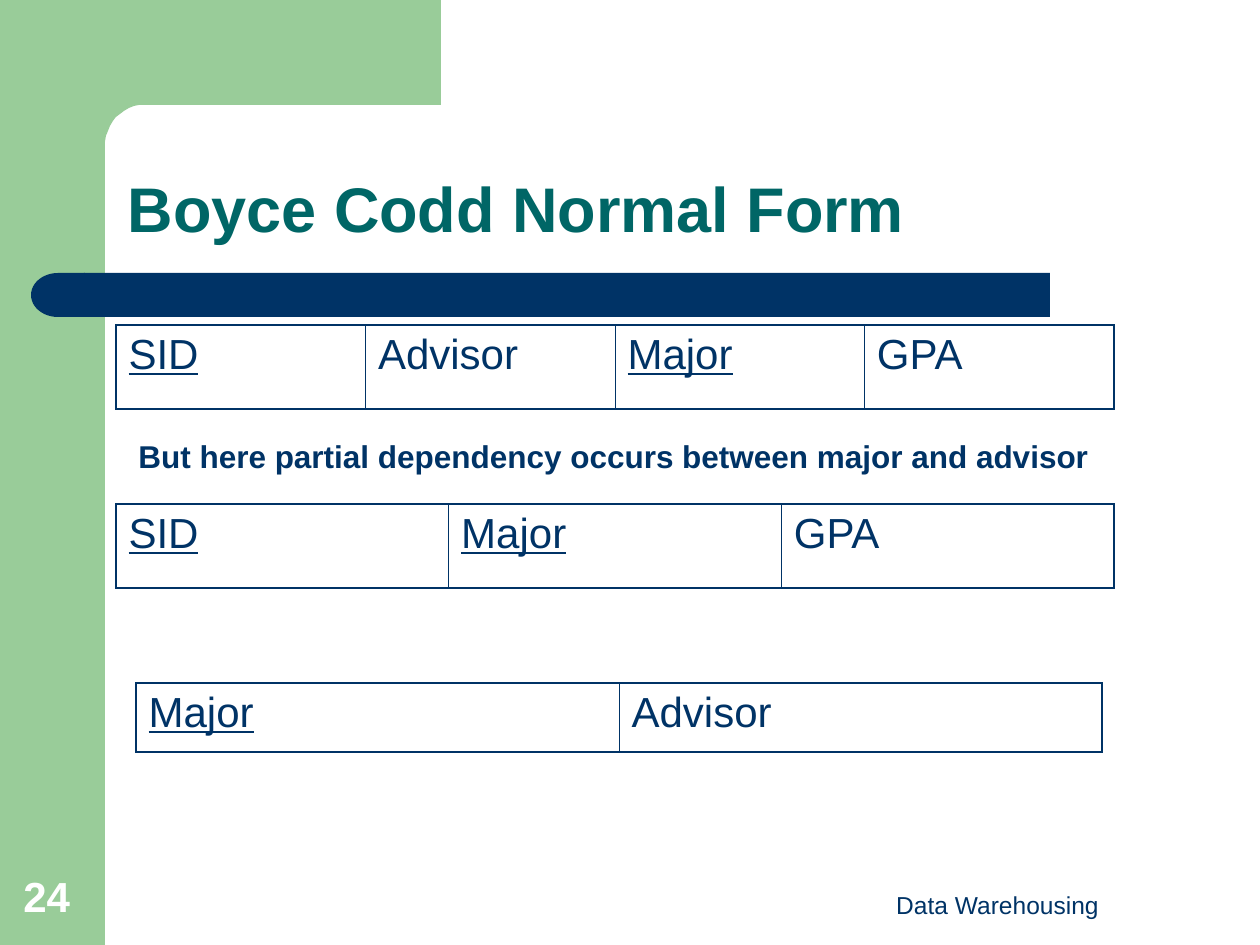
from math import cos, pi, sin

from lxml import etree
from pptx import Presentation
from pptx.dml.color import RGBColor
from pptx.enum.shapes import MSO_SHAPE as SHAPE
from pptx.enum.text import MSO_ANCHOR as ANCHOR, MSO_AUTO_SIZE as AUTO, PP_ALIGN as ALIGN
from pptx.oxml.ns import qn
from pptx.util import Emu, Pt

PX = 914400 / 126
GREEN = RGBColor(0x99, 0xCC, 0x99)
NAVY = RGBColor(0x00, 0x33, 0x66)
TEAL = RGBColor(0x00, 0x66, 0x66)
WHITE = RGBColor(0xFF, 0xFF, 0xFF)


def px(*lengths):
    return [Emu(round(n * PX)) for n in lengths]


def add_run(p, text, size, color, bold=False, underline=False):
    r = p.add_run()
    r.text = text
    r.font.name = "Arial"
    r.font.size = Pt(size)
    r.font.color.rgb = color
    r.font.bold = bold
    r.font.underline = underline


prs = Presentation()
prs.slide_width, prs.slide_height = px(1260, 945)
slide = prs.slides.add_slide(prs.slide_layouts[5])
shapes = slide.shapes

# Green side band, corner piece with a rounded inside, navy bar with a round end
band = shapes.add_shape(SHAPE.RECTANGLE, *px(0, 0, 105, 945))

arc = [(144 - 39 * sin(a), 147 - 42 * cos(a)) for a in (i * pi / 24 for i in range(13))]
builder = shapes.build_freeform(441, 0, scale=PX)
builder.add_line_segments([(441, 105), *arc, (105, 161), (63, 161), (63, 0)])
corner = builder.convert_to_shape()

bar = shapes.add_shape(SHAPE.ROUNDED_RECTANGLE, *px(84, 273, 966, 44))
bar.adjustments[0] = 0
bar_end = shapes.add_shape(SHAPE.FLOWCHART_DELAY, *px(31, 273, 54, 44))
bar_end.element.spPr.find(qn("a:xfrm")).set("flipH", "1")

for sp, color in ((band, GREEN), (corner, GREEN), (bar, NAVY), (bar_end, NAVY)):
    sp.fill.solid()
    sp.fill.fore_color.rgb = color
    sp.line.fill.background()
    sp.shadow.inherit = False

# Title
title = shapes.title
title.left, title.top, title.width, title.height = px(115, 115, 1072, 137)
tf = title.text_frame
tf.auto_size = AUTO.NONE
tf.vertical_anchor = ANCHOR.BOTTOM
p = tf.paragraphs[0]
p.alignment = ALIGN.LEFT
p.line_spacing = 0.9
add_run(p, "Boyce Codd Normal Form", 36, TEAL, bold=True)

# Footer, slide number and remark
texts = [
    ("Data Warehousing", (798, 861, 399, 65), 14, NAVY, False, ALIGN.CENTER, ANCHOR.BOTTOM, 0),
    ("24", (11, 861, 81, 66), 24, WHITE, True, ALIGN.LEFT, ANCHOR.BOTTOM, 0),
    ("But here partial dependency occurs between major and advisor",
     (126, 431, 1040, 50), 18, NAVY, True, ALIGN.LEFT, ANCHOR.TOP, 11.2),
]
for text, box, size, color, bold, align, anchor, before in texts:
    tf = shapes.add_textbox(*px(*box)).text_frame
    tf.word_wrap = True
    tf.vertical_anchor = anchor
    p = tf.paragraphs[0]
    p.alignment = align
    p.space_before = Pt(before)
    add_run(p, text, size, color, bold)

# Relations: key columns are underlined, outer borders are thicker
tables = [
    ((116, 325, 998, 84), ["SID", "Advisor", "Major", "GPA"], {"SID", "Major"}),
    ((116, 504, 998, 84), ["SID", "Major", "GPA"], {"SID", "Major"}),
    ((136, 683, 966, 69), ["Major", "Advisor"], {"Major"}),
]
for box, names, keys in tables:
    table = shapes.add_table(1, len(names), *px(*box)).table
    table.first_row = table.horz_banding = False
    for i, name in enumerate(names):
        cell = table.cell(0, i)
        p = cell.text_frame.paragraphs[0]
        p.space_before = Pt(6)
        add_run(p, name, 24, NAVY, underline=name in keys)

        tcPr = cell._tc.get_or_add_tcPr()
        widths = {
            "a:lnL": 1.08 if i == 0 else 0.45,
            "a:lnR": 1.08 if i == len(names) - 1 else 0.45,
            "a:lnT": 1.08,
            "a:lnB": 1.08,
        }
        for tag, width in widths.items():
            ln = etree.SubElement(tcPr, qn(tag), w=str(Pt(width)))
            fill = etree.SubElement(ln, qn("a:solidFill"))
            etree.SubElement(fill, qn("a:srgbClr"), val=str(NAVY))
        cell.fill.background()

prs.save("out.pptx")
